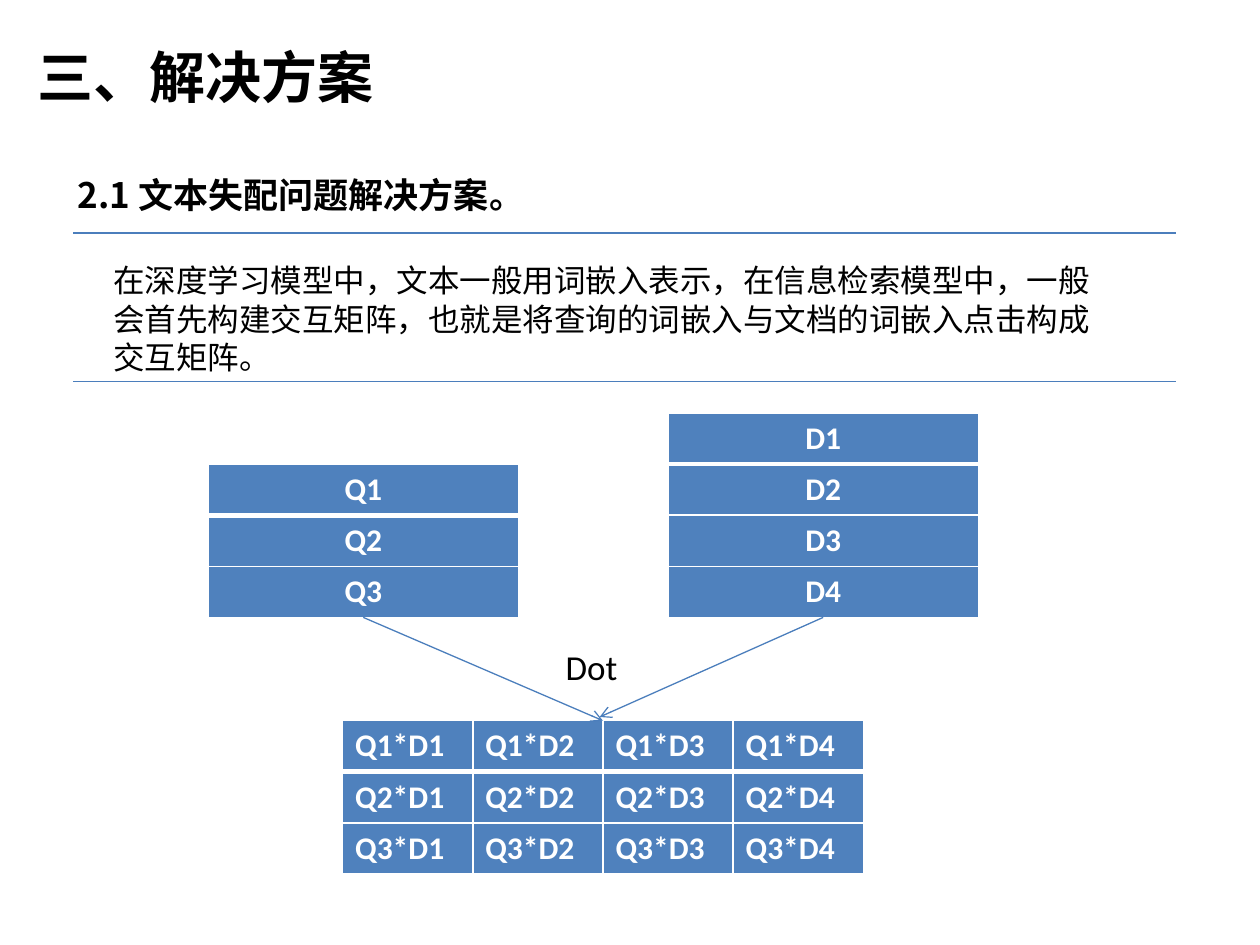
from dataclasses import dataclass

import pptx
import pptx.dml.color
import pptx.enum.shapes
import pptx.enum.text
import pptx.oxml.ns
import pptx.util
from lxml import etree

Pt = pptx.util.Pt
COLORS = {"text": "000000", "cell": "4F81BD", "border": "FFFFFF", "line": "4B7EBC"}
CJK = "Noto Sans CJK SC"
LATIN = "Calibri"
ROW_HEIGHT = 29.2
LINE_RATIO = 1.22


@dataclass
class Caption:
    text: str
    left: float
    top: float
    width: float
    height: float
    size: float
    font: str = CJK
    bold: bool = False
    wrap: bool = True


@dataclass
class Matrix:
    rows: list[list[str]]
    left: float
    top: float
    column_width: float
    centered: bool = True


@dataclass
class Stroke:
    start: tuple[float, float]
    end: tuple[float, float]
    arrow: bool = False


def rgb(name: str) -> pptx.dml.color.RGBColor:
    return pptx.dml.color.RGBColor.from_string(COLORS[name])


def child(parent, tag: str, **attributes: str):
    return etree.SubElement(parent, pptx.oxml.ns.qn(tag), **attributes)


def style_run(run, size: float, font: str, color: str, bold: bool) -> None:
    run.font.size = Pt(size)
    run.font.name = font
    run.font.bold = bold
    run.font.color.rgb = rgb(color)
    child(run.font._element, "a:ea", typeface=font)


def draw_caption(slide, caption: Caption) -> None:
    box = slide.shapes.add_textbox(
        Pt(caption.left), Pt(caption.top), Pt(caption.width), Pt(caption.height)
    )
    frame = box.text_frame
    frame.word_wrap = caption.wrap
    frame.text = caption.text
    paragraph = frame.paragraphs[0]
    paragraph.line_spacing = Pt(round(caption.size * LINE_RATIO, 2))
    style_run(paragraph.runs[0], caption.size, caption.font, "text", caption.bold)


def set_borders(cell, row: int) -> None:
    properties = cell._tc.get_or_add_tcPr()
    widths = {"L": 1, "R": 1, "T": 3 if row == 1 else 1, "B": 3 if row == 0 else 1}
    for side, width in widths.items():
        border = child(properties, f"a:ln{side}", w=str(Pt(width)))
        fill = child(border, "a:solidFill")
        child(fill, "a:srgbClr", val=COLORS["border"])


def draw_matrix(slide, matrix: Matrix) -> None:
    row_count, column_count = len(matrix.rows), len(matrix.rows[0])
    table = slide.shapes.add_table(
        row_count,
        column_count,
        Pt(matrix.left),
        Pt(matrix.top),
        Pt(matrix.column_width * column_count),
        Pt(ROW_HEIGHT * row_count),
    ).table
    for column in table.columns:
        column.width = Pt(matrix.column_width)
    for row, labels in enumerate(matrix.rows):
        table.rows[row].height = Pt(ROW_HEIGHT)
        for column, label in enumerate(labels):
            cell = table.cell(row, column)
            set_borders(cell, row)
            cell.fill.solid()
            cell.fill.fore_color.rgb = rgb("cell")
            cell.text_frame.text = label
            paragraph = cell.text_frame.paragraphs[0]
            if matrix.centered:
                paragraph.alignment = pptx.enum.text.PP_ALIGN.CENTER
            style_run(paragraph.runs[0], 18, LATIN, "border", True)


def draw_stroke(slide, stroke: Stroke) -> None:
    connector = slide.shapes.add_connector(
        pptx.enum.shapes.MSO_CONNECTOR.STRAIGHT,
        *(Pt(value) for value in stroke.start + stroke.end),
    )
    connector.line.color.rgb = rgb("line")
    connector.line.width = Pt(0.75)
    if stroke.arrow:
        child(connector.line._get_or_add_ln(), "a:tailEnd", type="arrow")
    child(connector._element.spPr, "a:effectLst")


def main() -> None:
    presentation = pptx.Presentation()
    presentation.slide_width = Pt(720)
    presentation.slide_height = Pt(540)
    slide = presentation.slides.add_slide(presentation.slide_layouts[6])

    queries = [f"Q{number}" for number in range(1, 4)]
    documents = [f"D{number}" for number in range(1, 5)]
    products = [[f"{query}*{document}" for document in documents] for query in queries]

    captions = [
        Caption("三、解决方案", 14.4, 20.2, 209.5, 46, 32, bold=True, wrap=False),
        Caption("2.1 文本失配问题解决方案。", 37.4, 95, 278.6, 31.5, 20, bold=True, wrap=False),
        Caption(
            "在深度学习模型中，文本一般用词嵌入表示，在信息检索模型中，一般会首先构建交互矩阵，"
            "也就是将查询的词嵌入与文档的词嵌入点击构成交互矩阵。",
            57.6, 145.4, 589.7, 72.7, 18,
        ),
        Caption("Dot", 316.1, 365, 53.3, 31.5, 20, font=LATIN),
    ]
    matrices = [
        Matrix(products, 195.8, 411.8, 74.4, centered=False),
        Matrix([[query] for query in queries], 118.8, 265.2, 177.6),
        Matrix([[document] for document in documents], 381.6, 236, 177.6),
    ]
    strokes = [
        Stroke((207.6, 352.8), (344.5, 411.8), arrow=True),
        Stroke((470.4, 352.8), (342.7, 409.7), arrow=True),
        Stroke((41.8, 218.2), (671.8, 218.2)),
        Stroke((41.8, 133.2), (671.8, 133.2)),
    ]
    for caption in captions:
        draw_caption(slide, caption)
    for matrix in matrices:
        draw_matrix(slide, matrix)
    for stroke in strokes:
        draw_stroke(slide, stroke)
    presentation.save("out.pptx")


if __name__ == "__main__":
    main()
